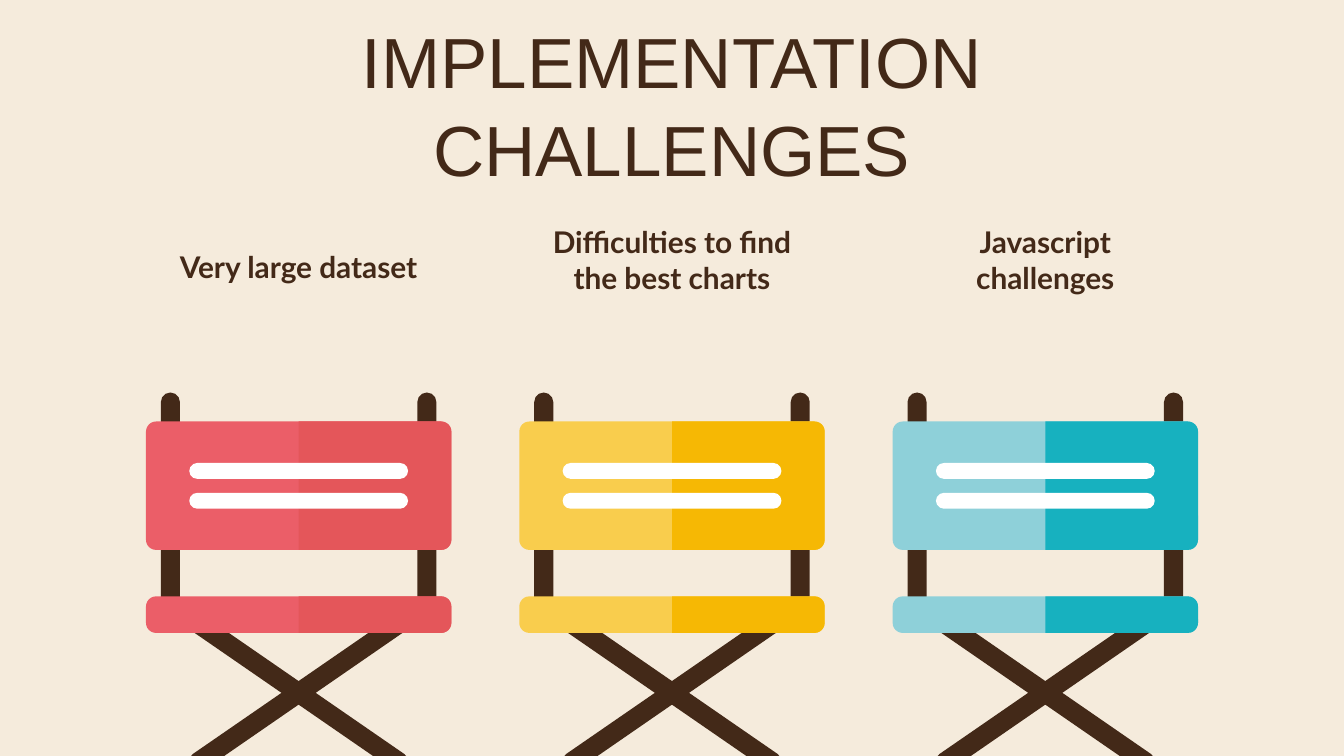
from pptx import Presentation
from pptx.dml.color import RGBColor
from pptx.enum.shapes import MSO_SHAPE as Preset
from pptx.enum.text import MSO_ANCHOR as Anchor, PP_ALIGN as Align
from pptx.util import Pt

BROWN = "432918"
CREAM = "F5EBDC"
WHITE = "FFFFFF"


def add_part(group, preset, center_x, center_y, width, height, color,
             radius, rotation=0):
    """Add a borderless rounded part, placed by its centre."""
    shape = group.shapes.add_shape(
        preset, Pt(center_x - width / 2), Pt(center_y - height / 2),
        Pt(width), Pt(height))
    shape.adjustments[0] = radius / min(width, height)
    shape.rotation = rotation
    shape.shadow.inherit = False
    shape.fill.solid()
    shape.fill.fore_color.rgb = RGBColor.from_string(color)
    shape.line.fill.background()


def add_label(slide, text, center_x, center_y, width, height, font_name,
              size, bold=False, side_inset=7.2, line_spacing=1.0):
    """Add a centred, wrapping text box, placed by its centre."""
    box = slide.shapes.add_textbox(
        Pt(center_x - width / 2), Pt(center_y - height / 2),
        Pt(width), Pt(height))
    frame = box.text_frame
    frame.word_wrap = True
    frame.vertical_anchor = Anchor.MIDDLE
    frame.margin_left = frame.margin_right = Pt(side_inset)
    frame.margin_top = frame.margin_bottom = Pt(7.2)
    paragraph = frame.paragraphs[0]
    paragraph.alignment = Align.CENTER
    paragraph.line_spacing = line_spacing
    run = paragraph.add_run()
    run.text = text
    run.font.name = font_name
    run.font.size = Pt(size)
    run.font.bold = bold
    run.font.color.rgb = RGBColor.from_string(BROWN)


presentation = Presentation()
presentation.slide_width = Pt(720)
presentation.slide_height = Pt(405)
slide = presentation.slides.add_slide(presentation.slide_layouts[6])
slide.background.fill.solid()
slide.background.fill.fore_color.rgb = RGBColor.from_string(CREAM)

add_label(slide, "IMPLEMENTATION CHALLENGES", 360, 55, 607, 25, "Arial", 38,
          side_inset=12, line_spacing=1.04)

# Text, height of its centre, light and dark half of the chair
challenges = [
    ("Very large dataset", 142.6, "EB5E68", "E4565A"),
    ("Difficulties to find the best charts", 139, "F9CD4D", "F6B804"),
    ("Javascript challenges", 139, "8ED0D9", "17B1BF"),
]
FIRST_CENTER, PITCH = 160, 200
CHAIR_WIDTH = 163.6

for index, (text, text_y, light, dark) in enumerate(challenges):
    center = FIRST_CENTER + index * PITCH
    add_label(slide, text, center, text_y, 147, 20, "Lato", 16, bold=True)

    chair = slide.shapes.add_group_shape()
    for side in (-1, 1):
        add_part(chair, Preset.ROUNDED_RECTANGLE, center + side * 68.7, 270,
                 10.2, 119.4, BROWN, 5.1)
    for angle in (34.6, -34.6):
        add_part(chair, Preset.ROUNDED_RECTANGLE, center, 371.2,
                 141, 10.4, BROWN, 5.2, angle)

    # Backrest and seat: a light panel with its right half darker
    for panel_y, panel_height in ((260.2, 68.8), (329.3, 19.6)):
        add_part(chair, Preset.ROUNDED_RECTANGLE, center, panel_y,
                 CHAIR_WIDTH, panel_height, light, 5.4)
        add_part(chair, Preset.ROUND_2_SAME_RECTANGLE,
                 center + CHAIR_WIDTH / 4, panel_y,
                 panel_height, CHAIR_WIDTH / 2, dark, 5.4, 90)

    for stripe_y in (252.3, 268.3):
        add_part(chair, Preset.ROUNDED_RECTANGLE, center, stripe_y,
                 117.2, 8.5, WHITE, 4.25)

presentation.save("out.pptx")
